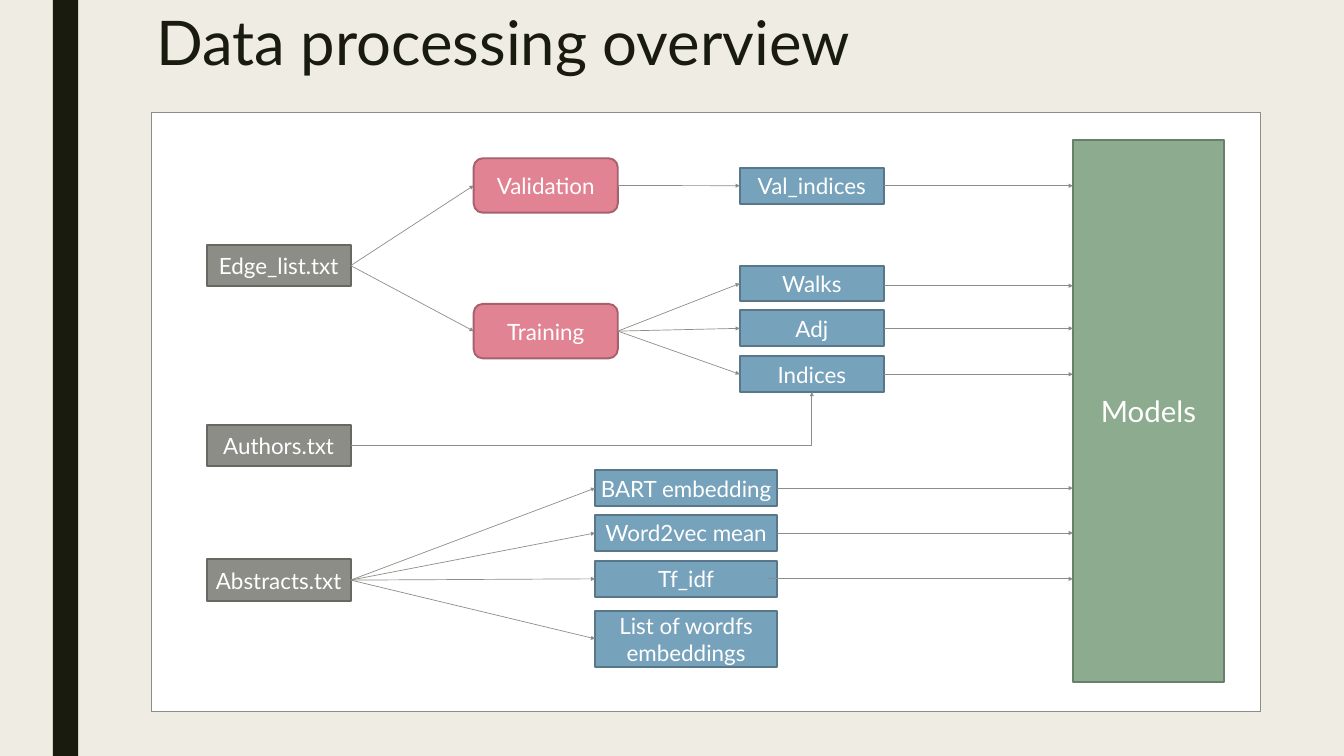
from dataclasses import dataclass

from lxml.etree import SubElement
from pptx import Presentation
from pptx.dml.color import RGBColor
from pptx.enum.shapes import MSO_CONNECTOR as Line, MSO_SHAPE as Preset
from pptx.enum.text import MSO_ANCHOR as Anchor, MSO_AUTO_SIZE as AutoSize, PP_ALIGN as Align
from pptx.oxml.ns import qn
from pptx.util import Inches, Pt

FONT = "Lato"
INK = RGBColor(0x19, 0x1B, 0x0E)
PAPER = RGBColor(0xEF, 0xED, 0xE3)
WHITE = RGBColor(0xFF, 0xFF, 0xFF)
GREY = RGBColor(0x8C, 0x8D, 0x86)
GREY_EDGE = RGBColor(0x68, 0x68, 0x63)
PINK = RGBColor(0xE2, 0x83, 0x94)
PINK_EDGE = RGBColor(0xA7, 0x61, 0x6D)
BLUE = RGBColor(0x77, 0xA2, 0xBB)
BLUE_EDGE = RGBColor(0x58, 0x78, 0x8A)
GREEN = RGBColor(0x8D, 0xAB, 0x8E)
GREEN_EDGE = RGBColor(0x68, 0x7F, 0x69)


@dataclass(frozen=True)
class Style:
    fill: RGBColor
    edge: RGBColor | None = None
    edge_width: float = 2.75
    preset: Preset = Preset.RECTANGLE
    size: float = 32


BAR = Style(INK)
PANEL = Style(WHITE, GREY, 1)
SOURCE = Style(GREY, GREY_EDGE)
SPLIT = Style(PINK, PINK_EDGE, preset=Preset.ROUNDED_RECTANGLE)
FEATURE = Style(BLUE, BLUE_EDGE)
MODEL = Style(GREEN, GREEN_EDGE, size=42)


@dataclass(frozen=True)
class Box:
    left: float
    top: float
    width: float
    height: float
    style: Style
    text: str = ""

    @property
    def right(self) -> float:
        return self.left + self.width

    @property
    def bottom(self) -> float:
        return self.top + self.height

    @property
    def center(self) -> float:
        return self.left + self.width / 2

    @property
    def middle(self) -> float:
        return self.top + self.height / 2


def write(frame, text: str, *, size: float, color: RGBColor, align=Align.CENTER,
          spacing: float = 1, margin: float = 0.06) -> None:
    frame.word_wrap = True
    frame.auto_size = AutoSize.NONE
    frame.vertical_anchor = Anchor.MIDDLE
    frame.margin_left = frame.margin_right = Inches(margin)
    frame.margin_top = frame.margin_bottom = Inches(0.06)
    paragraph = frame.paragraphs[0]
    paragraph.alignment = align
    paragraph.line_spacing = spacing
    run = paragraph.add_run()
    run.text = text
    run.font.name = FONT
    run.font.size = Pt(size)
    run.font.color.rgb = color


def draw_box(slide, box: Box) -> None:
    style = box.style
    shape = slide.shapes.add_shape(style.preset, Inches(box.left), Inches(box.top),
                                   Inches(box.width), Inches(box.height))
    shape.shadow.inherit = False
    shape.fill.solid()
    shape.fill.fore_color.rgb = style.fill
    if style.edge is None:
        shape.line.fill.background()
    else:
        shape.line.color.rgb = style.edge
        shape.line.width = Pt(style.edge_width)
    if box.text:
        write(shape.text_frame, box.text, size=style.size, color=WHITE)


def draw_arrow(slide, start: tuple[float, float], end: tuple[float, float],
               bent: bool = False) -> None:
    kind = Line.ELBOW if bent else Line.STRAIGHT
    arrow = slide.shapes.add_connector(kind, *map(Inches, start + end))
    arrow.line.color.rgb = GREY
    arrow.line.width = Pt(1)
    properties = arrow._element.spPr
    SubElement(properties.find(qn("a:ln")), qn("a:tailEnd"), type="triangle")
    SubElement(properties, qn("a:effectLst"))
    if bent:  # a single corner
        properties.find(qn("a:prstGeom")).set("prst", "bentConnector2")


def link(slide, origin: Box, target: Box) -> None:
    draw_arrow(slide, (origin.right, origin.middle), (target.left, target.middle))


def column(left: float, width: float, height: float, style: Style,
           rows: dict[str, float]) -> list[Box]:
    return [Box(left, top, width, height, style, text) for text, top in rows.items()]


def main() -> None:
    deck = Presentation()
    deck.slide_width, deck.slide_height = Inches(26.67), Inches(15)
    slide = deck.slides.add_slide(deck.slide_layouts[5])
    slide.background.fill.solid()
    slide.background.fill.fore_color.rgb = PAPER

    # Title and side bar
    title = slide.shapes.title
    title.left, title.top = Inches(3), Inches(-0.01)
    title.width, title.height = Inches(21), Inches(1.83)
    write(title.text_frame, "Data processing overview", size=88, color=INK,
          align=Align.LEFT, spacing=0.89, margin=0.1)
    draw_box(slide, Box(1.05, 0, 0.5, 15, BAR))

    # Diagram boxes
    panel = Box(3, 2.23, 22.02, 11.88, PANEL)
    models = Box(21.29, 2.77, 3, 10.77, MODEL, "Models")
    sources = column(4.1, 2.86, 0.82, SOURCE, {
        "Edge_list.txt": 4.86, "Authors.txt": 8.43, "Abstracts.txt": 11.1})
    splits = column(9.4, 2.86, 1.08, SPLIT, {"Validation": 3.14, "Training": 6.03})
    graph_features = column(14.68, 2.86, 0.71, FEATURE, {
        "Val_indices": 3.33, "Walks": 5.27, "Adj": 6.16, "Indices": 7.07})
    text_features = column(11.81, 3.61, 0.71, FEATURE, {
        "BART embedding": 9.33, "Word2vec mean": 10.22, "Tf_idf": 11.13})
    word_list = Box(11.81, 12.12, 3.61, 1.11, FEATURE, "List of wordfs embeddings")
    for box in [panel, models, *sources, *splits, *graph_features, *text_features, word_list]:
        draw_box(slide, box)

    # Arrows from the files to the features
    edge_list, authors, abstracts = sources
    validation, training = splits
    val_indices, *training_features = graph_features
    indices = training_features[-1]
    for origin, targets in ((edge_list, splits),
                            (validation, [val_indices]),
                            (training, training_features),
                            (abstracts, [*text_features, word_list])):
        for target in targets:
            link(slide, origin, target)
    draw_arrow(slide, (authors.right, authors.middle),
               (indices.center, indices.bottom), bent=True)

    # Arrows from the features into the models
    starts = {"Tf_idf": 15.26}
    heights = {"Walks": 5.67}
    for feature in graph_features + text_features:
        y = heights.get(feature.text, feature.middle)
        draw_arrow(slide, (starts.get(feature.text, feature.right), y), (models.left, y))

    deck.save("out.pptx")


if __name__ == "__main__":
    main()
